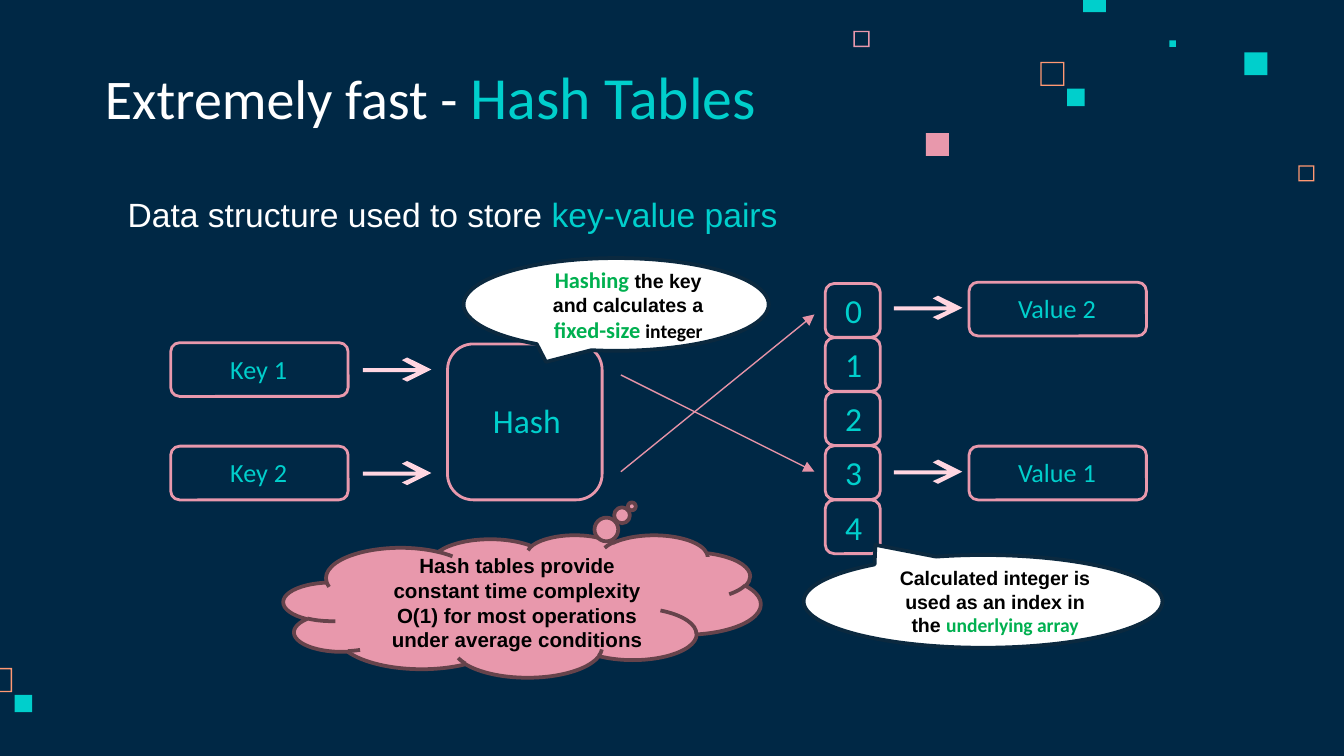
from lxml.etree import SubElement
from pptx import Presentation
from pptx.dml.color import RGBColor
from pptx.enum.shapes import MSO_CONNECTOR, MSO_SHAPE
from pptx.enum.text import MSO_ANCHOR, MSO_AUTO_SIZE, PP_ALIGN
from pptx.oxml.ns import qn
from pptx.util import Inches, Pt

COLORS = {
    "navy": "002845", "teal": "00CFCC", "pink": "E898AC", "orange": "FF9973",
    "pale pink": "FFD6E1", "link": "E593A7", "white": "FFFFFF", "black": "000000",
    "green": "00B050", "bubble edge": "0B293F", "cloud edge": "66434B",
}
RGB = {name: RGBColor.from_string(value) for name, value in COLORS.items()}


def add_block(kind, left, top, width, height, fill=None, line=None, weight=1.5):
    block = slide.shapes.add_shape(
        kind, Inches(left), Inches(top), Inches(width), Inches(height))
    block.shadow.inherit = False
    if fill:
        block.fill.solid()
        block.fill.fore_color.rgb = RGB[fill]
    else:
        block.fill.background()
    if line:
        block.line.color.rgb = RGB[line]
        block.line.width = Pt(weight)
    else:
        block.line.fill.background()
    return block


def add_runs(paragraph, runs, bold=False):
    for text, font, size, color in runs:
        run = paragraph.add_run()
        run.text = text
        run.font.name = font
        run.font.size = Pt(size)
        run.font.bold = bold
        run.font.color.rgb = RGB[color]


prs = Presentation()
prs.slide_width = Inches(10)
prs.slide_height = Inches(10) * 9 // 16
slide = prs.slides.add_slide(prs.slide_layouts[1])
slide.background.fill.solid()
slide.background.fill.fore_color.rgb = RGB["navy"]

for left, top, size, color in [
    (9.66, 1.23, 0.12, "orange"), (6.35, 0.23, 0.12, "pink"),
    (7.74, 0.46, 0.18, "orange"), (-0.09, 4.97, 0.18, "orange"),
]:
    hollow_square = add_block(MSO_SHAPE.FRAME, left, top, size, size, color)
    hollow_square.adjustments[0] = 0.01 / size

for left, top, size, color in [
    (8.7, 0.3, 0.05, "teal"), (8.06, -0.08, 0.17, "teal"),
    (9.26, 0.39, 0.17, "teal"), (7.94, 0.66, 0.13, "teal"),
    (6.89, 0.99, 0.17, "pink"), (0.11, 5.17, 0.13, "teal"),
]:
    add_block(MSO_SHAPE.RECTANGLE, left, top, size, size, color)

heading = slide.shapes.title
summary = slide.placeholders[1]
for part, top, width, height, anchor, runs in [
    (heading, 0.45, 7.04, 0.63, MSO_ANCHOR.BOTTOM,
     [("Extremely fast - ", "Calibri", 30, "white"),
      ("Hash Tables", "Calibri", 32, "teal")]),
    (summary, 1.34, 5.63, 0.61, MSO_ANCHOR.TOP,
     [("Data structure used to store ", "Arial", 18, "white"),
      ("key-value pairs", "Arial", 18, "teal")]),
]:
    part.left, part.top = Inches(0.68), Inches(top)
    part.width, part.height = Inches(width), Inches(height)
    frame = part.text_frame
    frame.auto_size = MSO_AUTO_SIZE.NONE
    frame.vertical_anchor = anchor
    frame.margin_left = frame.margin_right = Inches(0.1)
    frame.margin_top = frame.margin_bottom = Inches(0.1)
    paragraph = frame.paragraphs[0]
    paragraph.alignment = PP_ALIGN.LEFT
    paragraph.space_before = Pt(0)
    add_runs(paragraph, runs)

summary_properties = summary.text_frame.paragraphs[0]._p.get_or_add_pPr()
summary_properties.set("marL", str(Inches(0.17)))
summary_properties.set("indent", "0")
SubElement(summary_properties, qn("a:buNone"))

hash_style = (1.15, 1.16, 0.24, 0.37, 0.73, 0.4, 18, PP_ALIGN.LEFT)
pair_style = (1.32, 0.4, 0.1, 0.03, 1.11, 0.34, 14, PP_ALIGN.CENTER)
slot_style = (0.41, 0.4, 0.05, 0, 0.31, 0.4, 18, PP_ALIGN.LEFT)
boxes = [
    ("Hash", 3.33, 2.56, hash_style),
    ("Key 1", 1.27, 2.55, pair_style),
    ("Key 2", 1.27, 3.32, pair_style),
    ("Value 1", 7.21, 3.32, pair_style),
    ("Value 2", 7.21, 2.1, pair_style),
]
boxes += [(str(i), 6.14, 2.11 + 0.4025 * i, slot_style) for i in range(5)]
for text, left, top, style in boxes:
    width, height, inset_x, inset_y, label_width, label_height, size, alignment = style
    add_block(MSO_SHAPE.ROUNDED_RECTANGLE, left, top, width, height, line="pink")
    label = slide.shapes.add_textbox(
        Inches(left + inset_x), Inches(top + inset_y),
        Inches(label_width), Inches(label_height))
    label.text_frame.word_wrap = True
    label.text_frame.auto_size = MSO_AUTO_SIZE.SHAPE_TO_FIT_TEXT
    paragraph = label.text_frame.paragraphs[0]
    paragraph.alignment = alignment
    add_runs(paragraph, [(text, "Calibri", size, "teal")])

arrow_outline = [(33, 0), (29, 2), (40, 8), (0, 8), (0, 11),
                 (40, 11), (29, 16), (33, 18), (51, 9)]
for left, top in [(2.7, 2.66), (2.7, 3.43), (6.65, 2.2), (6.65, 3.42)]:
    builder = slide.shapes.build_freeform(*arrow_outline[0], scale=Inches(0.01))
    builder.add_line_segments(arrow_outline[1:], close=True)
    arrow = builder.convert_to_shape(Inches(left), Inches(top))
    arrow.shadow.inherit = False
    arrow.fill.solid()
    arrow.fill.fore_color.rgb = RGB["pale pink"]
    arrow.line.fill.background()

for start_y, end_y in [(3.51, 2.34), (2.79, 3.51)]:
    link = slide.shapes.add_connector(
        MSO_CONNECTOR.STRAIGHT, Inches(4.62), Inches(start_y), Inches(6.06), Inches(end_y))
    link.line.color.rgb = RGB["link"]
    link.line.width = Pt(0.75)
    SubElement(link.line._get_or_add_ln(), qn("a:tailEnd"), type="triangle")
    SubElement(link._element.spPr, qn("a:effectLst"))

for kind, bounds, tail, fill, edge, runs in [
    (MSO_SHAPE.OVAL_CALLOUT, (3.45, 1.92, 2.27, 0.69), (-0.23, 0.62),
     "white", "bubble edge",
     [("Hashing", "Calibri", 12, "green"),
      (" the key and calculates a ", "Arial", 10.5, "black"),
      ("fixed-size ", "Calibri", 12, "green"),
      ("integer", "Calibri", 10.5, "black")]),
    (MSO_SHAPE.OVAL_CALLOUT, (5.98, 4.13, 2.67, 0.69), (-0.3, -0.61),
     "white", "bubble edge",
     [("Calculated integer is used as an index in the ", "Arial", 10.5, "black"),
      ("underlying array", "Calibri", 10.5, "green")]),
    (MSO_SHAPE.CLOUD_CALLOUT, (2.11, 3.98, 3.55, 1.06), (0.23, -0.7),
     "pink", "cloud edge",
     [("Hash tables provide constant time complexity O(1) for most operations "
       "under average conditions", "Arial", 11, "black")]),
]:
    callout = add_block(kind, *bounds, fill, edge, 2)
    callout.adjustments[0], callout.adjustments[1] = tail
    callout.text_frame.word_wrap = True
    callout.text_frame.vertical_anchor = MSO_ANCHOR.MIDDLE
    paragraph = callout.text_frame.paragraphs[0]
    paragraph.alignment = PP_ALIGN.CENTER
    paragraph._p.get_or_add_pPr().set("marL", str(Inches(0.18)))
    add_runs(paragraph, runs, bold=True)

prs.save("out.pptx")
